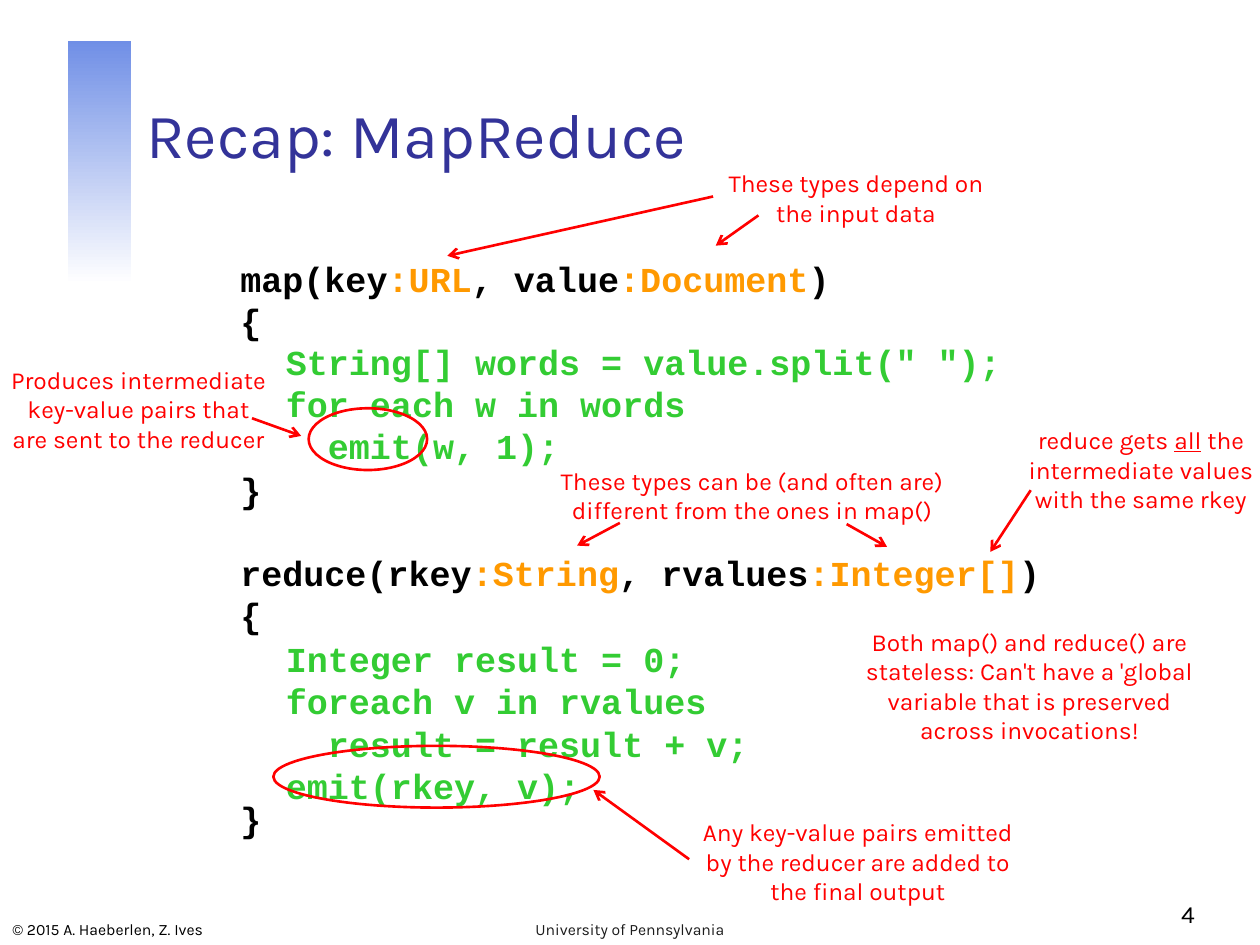
from lxml import etree
from pptx import Presentation
from pptx.dml import color
from pptx.enum import shapes, text
from pptx.oxml import ns
from pptx.util import Pt

INK, RED, GREEN, GOLD = "000000", "FF0000", "33CC33", "FF9900"
LEFT, MID, RIGHT = text.PP_ALIGN.LEFT, text.PP_ALIGN.CENTER, text.PP_ALIGN.RIGHT
TOP, LOW = text.MSO_ANCHOR.TOP, text.MSO_ANCHOR.BOTTOM


def rgb(hue):
    """Turn a hex string into a colour."""
    return color.RGBColor.from_string(hue)


def style(font, face, size, hue, bold=False):
    """Set the face, size, colour and weight of a font."""
    font.name, font.size, font.bold = face, Pt(size), bold
    font.color.rgb = rgb(hue)


def write(sl, box, lines, face, size, hue, side=LEFT, lead=None,
          bold=False, wrap=True, edge=TOP):
    """Place lines of (words, colour, underline) runs in a text box."""
    frame = sl.shapes.add_textbox(*map(Pt, box)).text_frame
    frame.word_wrap, frame.vertical_anchor = wrap, edge
    para = frame.paragraphs[0]
    para.alignment = side
    if lead:
        para.line_spacing = Pt(lead)
    for row, line in enumerate(lines):
        if row:
            para.add_line_break()
        for words, *extra in [(line,)] if isinstance(line, str) else line:
            run = para.add_run()
            run.text = words
            style(run.font, face, size, extra[0] if extra else hue, bold)
            if len(extra) > 1:
                run.font.underline = extra[1]


def code(sl, box, sign, body, drop, end):
    """Place a function: signature, body and closing brace."""
    x, y, w = box
    parts = ((0, 0, [sign, "{"], INK), (2, drop, body, GREEN),
             (0, end, ["}"], INK))
    for dx, dy, lines, hue in parts:
        write(sl, (x + dx, y + dy, w, 7.2 + 24.1 * len(lines)), lines,
              "Courier New", 20, hue, lead=24.1, bold=True)


def note(sl, box, lines, arrows=()):
    """Place a red remark and the arrows that lead from it."""
    x, y, w = box
    write(sl, (x, y, w, 7.2 + 16.8 * len(lines)), lines, "Karla", 14, RED,
          MID, 16.8, wrap=False)
    for ends in arrows:
        arrow(sl, [x + ends[0], y + ends[1], x + ends[2], y + ends[3]])


def arrow(sl, ends):
    """Draw a red arrow between two points."""
    link = sl.shapes.add_connector(shapes.MSO_CONNECTOR.STRAIGHT,
                                   *map(Pt, ends))
    link.line.width = Pt(1.5)
    link.line.color.rgb = rgb(RED)
    line = link.line._get_or_add_ln()
    etree.SubElement(line, ns.qn("a:tailEnd"), type="arrow")
    etree.SubElement(link._element.spPr, ns.qn("a:effectLst"))


def ring(sl, box):
    """Circle a call with a red ellipse."""
    oval = sl.shapes.add_shape(shapes.MSO_SHAPE.OVAL, *map(Pt, box))
    oval.shadow.inherit = False
    oval.fill.background()
    oval.line.width = Pt(1.5)
    oval.line.color.rgb = rgb(RED)


def band(sl, box):
    """Draw the fading bar beside the title."""
    bar = sl.shapes.add_shape(shapes.MSO_SHAPE.RECTANGLE, *map(Pt, box))
    bar.shadow.inherit = False
    bar.line.fill.background()
    bar.fill.gradient()
    bar.fill.gradient_angle = 270
    for stop, hue in zip(bar.fill.gradient_stops, ("708FE6", "FFFFFF")):
        stop.color.rgb = rgb(hue)


def title(sl, box, words):
    """Move and format the title placeholder."""
    head = sl.shapes.title
    head.left, head.top, head.width, head.height = map(Pt, box)
    head.text_frame.vertical_anchor = LOW
    para = head.text_frame.paragraphs[0]
    para.alignment = LEFT
    run = para.add_run()
    run.text = words
    style(run.font, "Karla", 36, "333399")


def foot(sl, base):
    """Place credit, school and page number along the bottom."""
    for x, w, words, size, hue, side, rise in (
            (0, 217.4, "© 2015 A. Haeberlen, Z. Ives", 9, INK, LEFT, 0),
            (246.2, 227.5, "University of Pennsylvania", 9, "1C1C1C", MID, 0),
            (540, 149.8, "4", 14, INK, RIGHT, 5.8)):
        write(sl, (x, base - rise - 20, w, 20), [words], "Karla", size, hue,
              side, edge=LOW)


def main():
    """Build and save the slide."""
    deck = Presentation()
    deck.slide_width, deck.slide_height = Pt(720), Pt(540)
    sl = deck.slides.add_slide(deck.slide_layouts[5])
    band(sl, (38.9, 23.3, 36, 139))
    title(sl, (76.3, 23.8, 613.4, 77.8), "Recap: MapReduce")
    foot(sl, 540)
    code(sl, (130.3, 143.4, 487.4),
         [("map(key",), (":URL", GOLD), (", value",), (":Document", GOLD),
          (")",)],
         ['  String[] words = value.split(" ");', "  for each w in words",
          "    emit(w, 1);"], 47.5, 120.6)
    code(sl, (130.3, 311.4, 487.4),
         [("reduce(rkey",), (":String", GOLD), (", rvalues",),
          (":Integer[]", GOLD), (")",)],
         ["  Integer result = 0;", "  foreach v in rvalues",
          "    result = result + v;", "  emit(rkey, v);"], 49.4, 140.6)
    note(sl, (579.6, 239.5, 144.7),
         [[("reduce gets ",), ("all", RED, True), (" the",)],
          "intermediate values", "with the same rkey"],
         [(9.4, 40.6, -13.7, 75.9)])
    note(sl, (309.6, 262.6, 240.5),
         ["These types can be (and often are)",
          "different from the ones in map()"],
         [(44.6, 36.2, 20.2, 49.2), (174.2, 36.9, 197.3, 49.9)])
    note(sl, (-3.6, 205, 165.6),
         ["Produces intermediate", "key-value pairs that",
          "are sent to the reducer"], [(147.6, 34, 175.7, 44.1)])
    note(sl, (389.5, 463.4, 201.6),
         ["Any key-value pairs emitted", "by the reducer are added to",
          "the final output"], [(4.3, 27.6, -50.4, -12)])
    note(sl, (403.9, 92.6, 170.6),
         ["These types depend on", "the input data"],
         [(3.6, 19.7, -148.3, 53.6), (29.5, 30.5, 5.1, 47.8)])
    note(sl, (484.6, 354.7, 207.4),
         ["Both map() and reduce() are", "stateless: Can't have a 'global",
          "variable that is preserved", "across invocations!"])
    ring(sl, (176.4, 233.3, 67.7, 35.3))
    ring(sl, (156.2, 426.2, 186.5, 35.3))
    deck.save("out.pptx")


if __name__ == "__main__":
    main()
